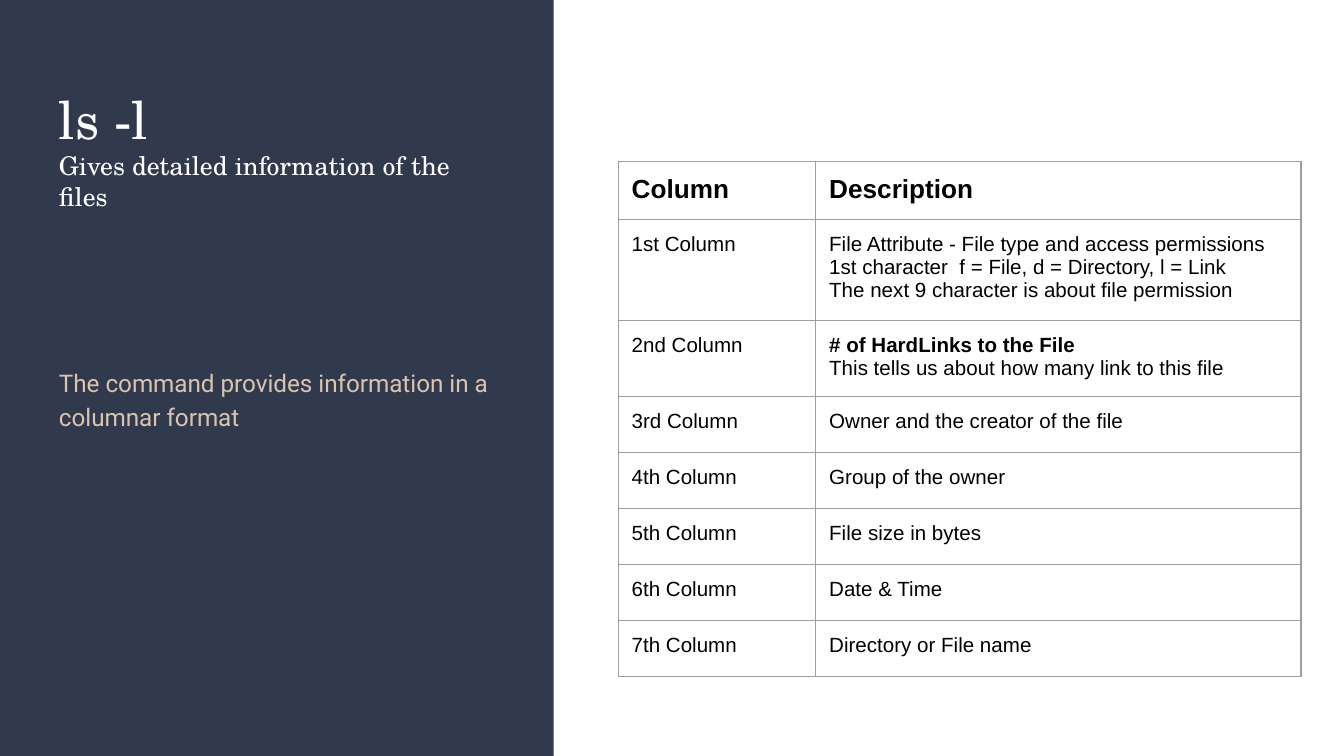
from lxml.etree import SubElement
from pptx import Presentation
from pptx.dml.color import RGBColor
from pptx.enum.shapes import MSO_SHAPE as Shape
from pptx.enum.text import MSO_ANCHOR as Anchor
from pptx.oxml.ns import qn
from pptx.util import Inches, Pt

# Content: each line is (text, size, bold)
COLORS = {"panel": "31394D", "title": "FFFFFF", "body": "D9C4B1",
          "table": "000000", "border": "9E9E9E"}
TITLE = [("ls -l", 28, False),
         ("Gives detailed information of the files", 13.8, False)]
BODY = [("The command provides information in a columnar format", 13, False)]
HEADER = ("Column", "Description")
ORDINALS = ("1st", "2nd", "3rd", "4th", "5th", "6th", "7th")
DESCRIPTIONS = [
    ["File Attribute - File type and access permissions",
     "1st character  f = File, d = Directory, l = Link",
     "The next 9 character is about file permission"],
    ["# of HardLinks to the File",
     "This tells us about how many link to this file"],
    ["Owner and the creator of the file"],
    ["Group of the owner"],
    ["File size in bytes"],
    ["Date & Time"],
    ["Directory or File name"],
]
BOLD_LINES = {"# of HardLinks to the File"}

# Layout: a 16:9 slide, lengths in inches unless marked
WIDTH = Inches(10)
HEIGHT = WIDTH * 9 // 16
PANEL_WIDTH = 4.12
TEXT_LEFT, TEXT_WIDTH = 0.34, 3.42
TABLE_LEFT, TABLE_TOP, TABLE_FRAME = 4.6, 1.2, 3.28
COLUMN_WIDTHS = (1.47, 3.61)
ROW_HEIGHT = Pt(30)
INSET = Inches(0.1)


def write_lines(frame, lines, font, color):
    for index, (text, size, bold) in enumerate(lines):
        paragraph = frame.paragraphs[0] if index == 0 else frame.add_paragraph()
        run = paragraph.add_run()
        run.text = text
        run.font.name = font
        run.font.size = Pt(size)
        run.font.bold = bold
        run.font.color.rgb = RGBColor.from_string(COLORS[color])


def set_insets(area):
    area.margin_left = area.margin_right = INSET
    area.margin_top = area.margin_bottom = INSET
    area.vertical_anchor = Anchor.TOP


def add_text(slide, top, height, lines, font, color):
    box = slide.shapes.add_textbox(Inches(TEXT_LEFT), Inches(top),
                                   Inches(TEXT_WIDTH), Inches(height))
    frame = box.text_frame
    frame.word_wrap = True
    set_insets(frame)
    write_lines(frame, lines, font, color)
    return frame


def set_borders(cell):
    properties = cell._tc.get_or_add_tcPr()
    for side in ("a:lnL", "a:lnR", "a:lnT", "a:lnB"):
        line = SubElement(properties, qn(side), w=str(Pt(0.75)))
        fill = SubElement(line, qn("a:solidFill"))
        SubElement(fill, qn("a:srgbClr"), val=COLORS["border"])


def add_column_table(slide):
    rows = [[[(text, 14, True)] for text in HEADER]]
    for ordinal, description in zip(ORDINALS, DESCRIPTIONS):
        rows.append([[(f"{ordinal} Column", 11, False)],
                     [(text, 11, text in BOLD_LINES) for text in description]])
    table_frame = slide.shapes.add_table(
        len(rows), len(COLUMN_WIDTHS), Inches(TABLE_LEFT), Inches(TABLE_TOP),
        Inches(TABLE_FRAME), Inches(TABLE_FRAME))
    table = table_frame.table
    table.first_row = table.horz_banding = False
    for column, width in zip(table.columns, COLUMN_WIDTHS):
        column.width = Inches(width)
    for row, contents in zip(table.rows, rows):
        row.height = ROW_HEIGHT
        for cell, lines in zip(row.cells, contents):
            set_insets(cell)
            set_borders(cell)
            cell.fill.background()
            write_lines(cell.text_frame, lines, "Arial", "table")
    # Rows grow with their text, so the frame keeps its nominal size
    table_frame.width = table_frame.height = Inches(TABLE_FRAME)


def main():
    presentation = Presentation()
    presentation.slide_width = WIDTH
    presentation.slide_height = HEIGHT
    slide = presentation.slides.add_slide(presentation.slide_layouts[6])

    # Dark left panel
    panel = slide.shapes.add_shape(Shape.RECTANGLE, 0, 0,
                                   Inches(PANEL_WIDTH), HEIGHT)
    panel.shadow.inherit = False
    panel.fill.solid()
    panel.fill.fore_color.rgb = RGBColor.from_string(COLORS["panel"])
    panel.line.fill.background()

    # Title and explanation
    add_text(slide, 0.55, 2, TITLE, "TeX Gyre Schola", "title")
    body = add_text(slide, 2.61, 2.51, BODY, "Roboto", "body")
    body.paragraphs[0].line_spacing = 1.15
    body.paragraphs[0].space_after = Pt(12)

    # Meaning of each output column
    add_column_table(slide)
    presentation.save("out.pptx")


if __name__ == "__main__":
    main()
